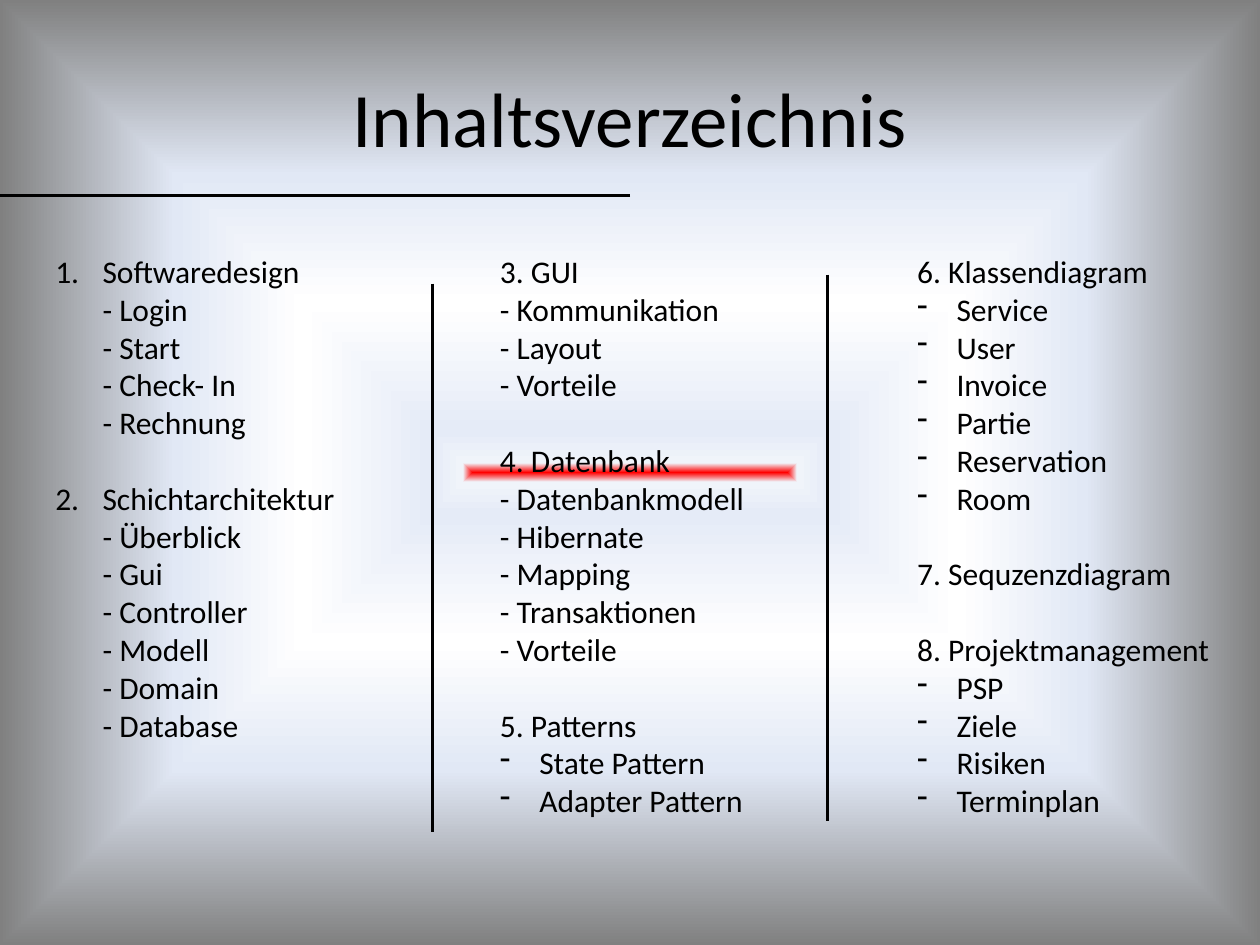
from dataclasses import dataclass

from lxml.etree import SubElement
from pptx import Presentation
from pptx.dml.color import RGBColor
from pptx.enum.shapes import MSO_CONNECTOR
from pptx.enum.text import MSO_ANCHOR, PP_ALIGN
from pptx.oxml import parse_xml
from pptx.oxml.ns import nsdecls, qn
from pptx.slide import Slide
from pptx.util import Pt

BLACK = RGBColor(0x00, 0x00, 0x00)
RED = RGBColor(0xFF, 0x00, 0x00)
PALE_BLUE = RGBColor(0xF0, 0xF4, 0xFA)
LIGHT_BLUE = RGBColor(0xE5, 0xEB, 0xF7)
WHITE = RGBColor(0xFF, 0xFF, 0xFF)
SOFT_BLUE = RGBColor(0xE1, 0xE8, 0xF5)
GRAY = RGBColor(0x80, 0x80, 0x80)

FONT = "Calibri"
BODY_SIZE = 18
SECTION_GAP = 21.6
COLUMN_TOP = 140.4


@dataclass(frozen=True)
class GradientStop:
    position: int
    color: RGBColor
    opacity: int = 100


@dataclass(frozen=True)
class Entry:
    text: str
    bullet: str = ""
    indent: float = 0
    space_before: float = 0


@dataclass(frozen=True)
class Column:
    left: float
    width: float
    height: float
    entries: list[Entry]


@dataclass(frozen=True)
class Rule:
    start: tuple[float, float]
    end: tuple[float, float]
    weight: float


def numbered(text: str, space_before: float = 0) -> Entry:
    return Entry(text, "number", 27, space_before)


def dashed(*texts: str) -> list[Entry]:
    return [Entry(text, "dash", 22.5) for text in texts]


BACKGROUND_STOPS = [
    GradientStop(0, RED, 58),
    GradientStop(2, PALE_BLUE),
    GradientStop(9, LIGHT_BLUE),
    GradientStop(36, WHITE),
    GradientStop(63, SOFT_BLUE),
    GradientStop(100, GRAY),
]

COLUMNS = [
    Column(24.5, 238.3, 334, [
        numbered("Softwaredesign\n- Login\n- Start\n- Check- In\n- Rechnung"),
        numbered("Schichtarchitektur\n- Überblick\n- Gui\n- Controller\n"
                 "- Modell\n- Domain\n- Database", SECTION_GAP),
    ]),
    Column(278.6, 238.3, 356.4, [
        Entry("3. GUI\n- Kommunikation\n- Layout\n- Vorteile"),
        Entry("4. Datenbank\n- Datenbankmodell\n- Hibernate\n- Mapping\n"
              "- Transaktionen\n- Vorteile", space_before=SECTION_GAP),
        Entry("5. Patterns", space_before=SECTION_GAP),
        *dashed("State Pattern", "Adapter Pattern"),
    ]),
    Column(517, 195.1, 356.4, [
        Entry("6. Klassendiagram"),
        *dashed("Service", "User", "Invoice", "Partie", "Reservation", "Room"),
        Entry("7. Sequzenzdiagram", space_before=SECTION_GAP),
        Entry("8. Projektmanagement", space_before=SECTION_GAP),
        *dashed("PSP", "Ziele", "Risiken", "Terminplan"),
    ]),
]

RULES = [
    Rule((247, 162), (247, 475.2), 1.5),
    Rule((360, 111.6), (0, 111.6), 2),
    Rule((473, 157), (473, 469.4), 1.5),
]


def set_background(slide: Slide, stops: list[GradientStop]) -> None:
    """Fill the slide with a gradient that runs from its centre to its edges."""
    stop_xml = "".join(
        f'<a:gs pos="{stop.position * 1000}"><a:srgbClr val="{stop.color}">'
        f'<a:alpha val="{stop.opacity * 1000}"/></a:srgbClr></a:gs>'
        for stop in stops
    )
    background = parse_xml(
        f'<p:bg {nsdecls("p", "a")}><p:bgPr><a:gradFill rotWithShape="1">'
        f'<a:gsLst>{stop_xml}</a:gsLst><a:path path="shape">'
        '<a:fillToRect l="50000" t="50000" r="50000" b="50000"/></a:path>'
        '</a:gradFill><a:effectLst/></p:bgPr></p:bg>'
    )
    slide.element.cSld.insert(0, background)


def add_text(slide: Slide, entries: list[Entry], *, left: float, top: float,
             width: float, height: float, size: float = BODY_SIZE,
             align: PP_ALIGN = PP_ALIGN.LEFT,
             anchor: MSO_ANCHOR = MSO_ANCHOR.TOP) -> None:
    shape = slide.shapes.add_textbox(Pt(left), Pt(top), Pt(width), Pt(height))
    frame = shape.text_frame
    frame.word_wrap = True
    frame.vertical_anchor = anchor
    for index, entry in enumerate(entries):
        paragraph = frame.add_paragraph() if index else frame.paragraphs[0]
        paragraph.text = entry.text
        paragraph.alignment = align
        paragraph.space_before = Pt(entry.space_before)
        for run in paragraph.runs:
            run.font.name = FONT
            run.font.size = Pt(size)
            run.font.color.rgb = BLACK
        if entry.bullet:
            properties = paragraph._p.get_or_add_pPr()
            properties.set("marL", str(Pt(entry.indent)))
            properties.set("indent", str(-Pt(entry.indent)))
            if entry.bullet == "number":
                SubElement(properties, qn("a:buAutoNum"), type="arabicPeriod")
            else:
                SubElement(properties, qn("a:buFontTx"))
                SubElement(properties, qn("a:buChar"), char="-")


def add_rule(slide: Slide, rule: Rule) -> None:
    connector = slide.shapes.add_connector(
        MSO_CONNECTOR.STRAIGHT, *map(Pt, rule.start), *map(Pt, rule.end))
    connector.line.color.rgb = BLACK
    connector.line.width = Pt(rule.weight)
    SubElement(connector._element.spPr, qn("a:effectLst"))


def main() -> None:
    presentation = Presentation()
    presentation.slide_width = Pt(720)
    presentation.slide_height = Pt(540)
    slide = presentation.slides.add_slide(presentation.slide_layouts[6])
    set_background(slide, BACKGROUND_STOPS)
    add_text(slide, [Entry("Inhaltsverzeichnis")], left=36, top=21.6,
             width=648, height=90, size=44, align=PP_ALIGN.CENTER,
             anchor=MSO_ANCHOR.MIDDLE)
    for column in COLUMNS:
        add_text(slide, column.entries, left=column.left, top=COLUMN_TOP,
                 width=column.width, height=column.height)
    for rule in RULES:
        add_rule(slide, rule)
    presentation.save("out.pptx")


if __name__ == "__main__":
    main()
